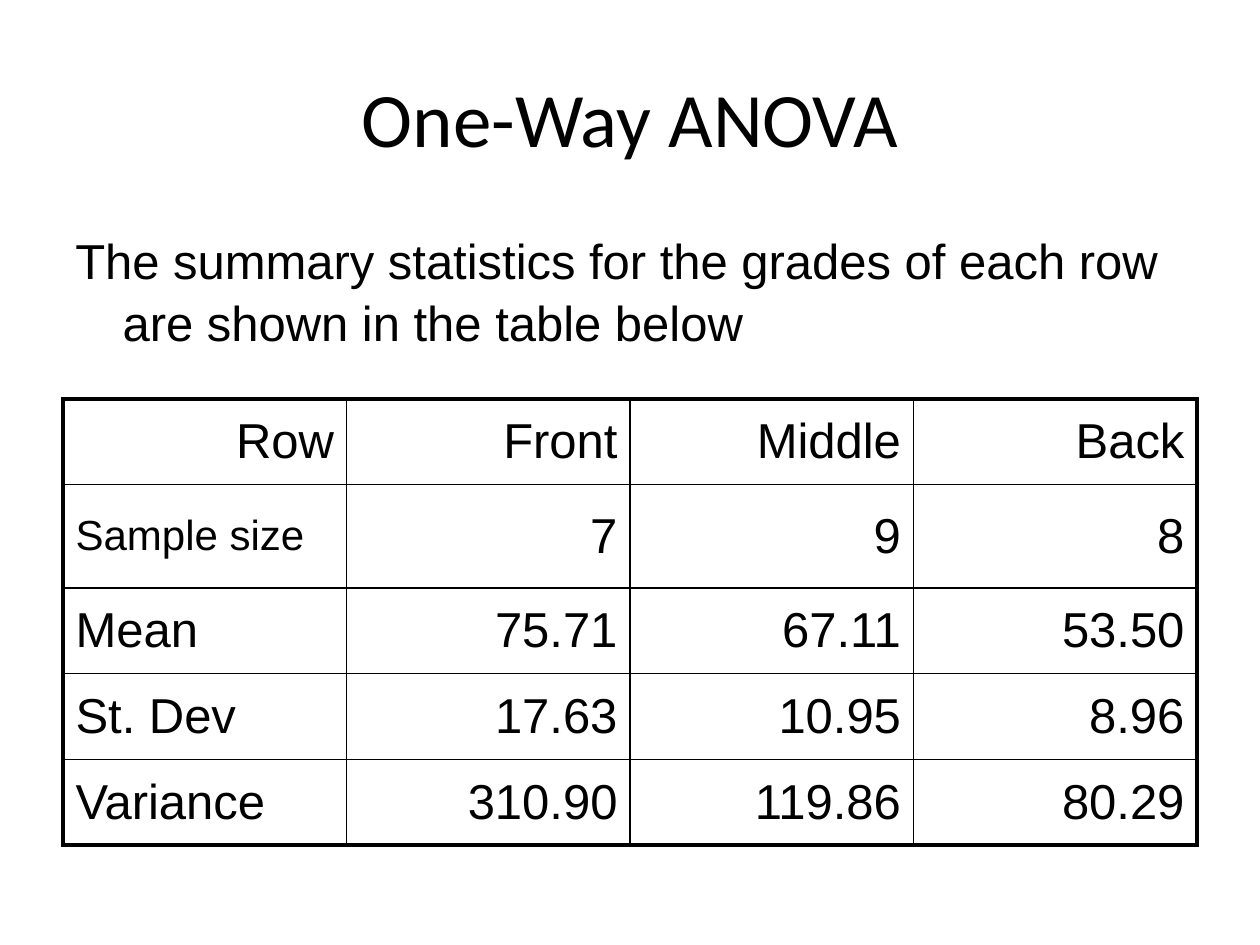
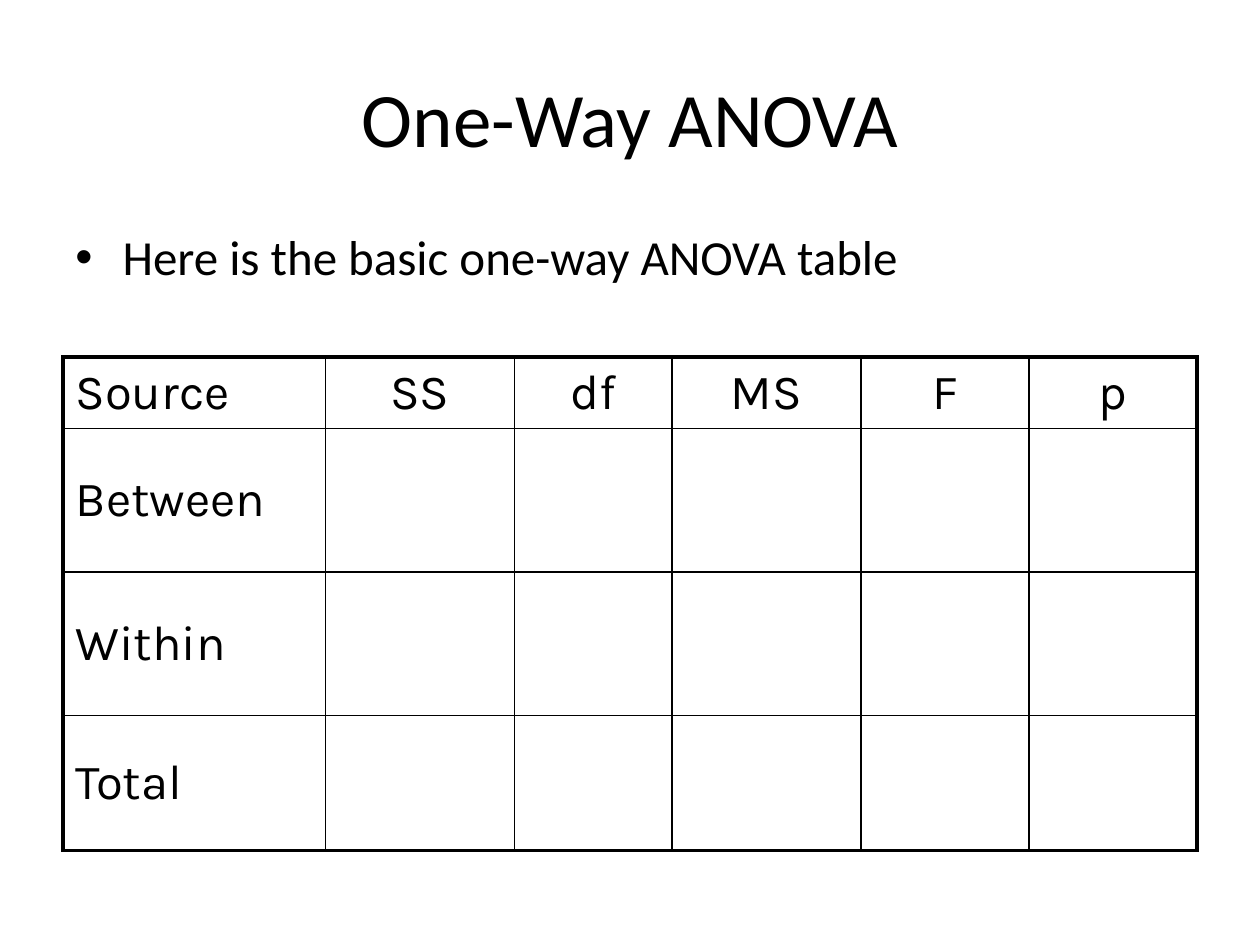
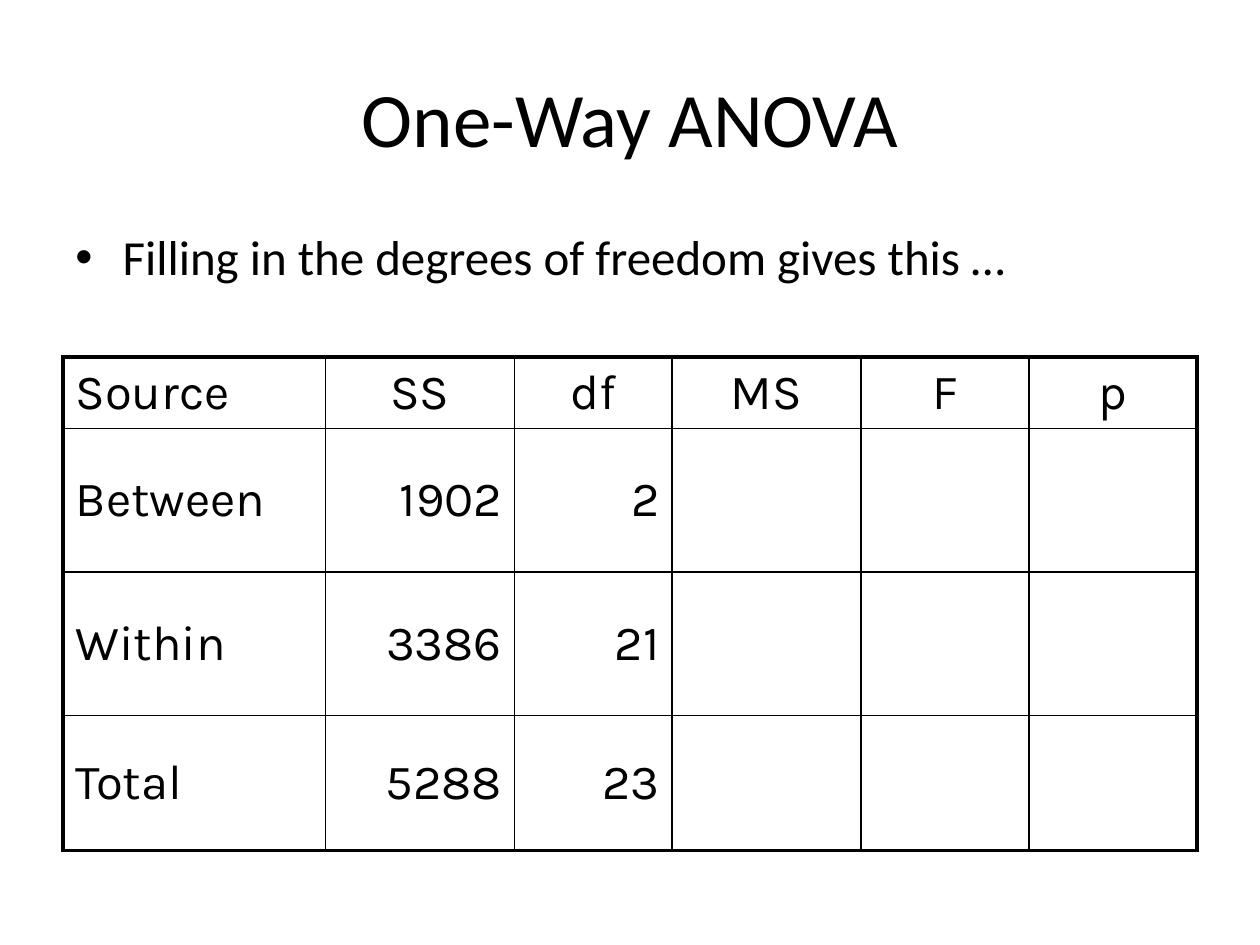
from dataclasses import dataclass

from lxml import etree
from pptx import Presentation
from pptx import util as u
from pptx.dml.color import RGBColor
from pptx.enum import text
from pptx.oxml.ns import qn

Pt = u.Pt
COLORS = {"ink": "000000", "paper": "FFFFFF"}
ALIGN = {"l": text.PP_ALIGN.LEFT, "c": text.PP_ALIGN.CENTER, "r": text.PP_ALIGN.RIGHT}
TITLE = "One-Way ANOVA"
LEFT, WIDTH = 36, 648
BODY_TOP, HANGING = 126, 27
THICK, THIN = 2.25, 1
BODY_SIZE, SMALL_SIZE = 28, 24


@dataclass
class Grid:
    top: float
    columns: list[float]
    heights: list[float]
    rows: list[list[str]]
    font: str
    header_align: str  # one letter per column


@dataclass
class Page:
    statement: str
    statement_height: float
    font: str
    bullet: bool
    line_spacing: float
    grid: Grid


# Content
def anova_grid(between: list[str], within: list[str], total: list[str]) -> Grid:
    """The ANOVA table, with the known values of each source from SS onwards."""
    header = ["Source", "SS", "df", "MS", "F", "p"]
    known = {"Between": between, "Within": within, "Total": total}
    rows = [[name, *values] + [""] * (len(header) - 1 - len(values))
            for name, values in known.items()]
    return Grid(204, [150, 108, 90, 108, 96, 96], [41, 82, 82, 77],
                [header, *rows], "Karla", "lccccc")


SUMMARY = Grid(228, [162] * 4, [49, 59, 49, 49, 49], [
    ["Row", "Front", "Middle", "Back"],
    ["Sample size", "7", "9", "8"],
    ["Mean", "75.71", "67.11", "53.50"],
    ["St. Dev", "17.63", "10.95", "8.96"],
    ["Variance", "310.90", "119.86", "80.29"],
], "Arial", "rrrr")

PAGES = [
    Page("The summary statistics for the grades of each row are shown in the table below",
         96, "Arial", False, 1.06, SUMMARY),
    Page("Here is the basic one-way ANOVA table",
         54, "Calibri", True, 1.0, anova_grid([], [], [])),
    Page("Filling in the degrees of freedom gives this …",
         54, "Calibri", True, 1.0,
         anova_grid(["1902", "2"], ["3386", "21"], ["5288", "23"])),
]


# Text
def add_span(para, words: str, size: float, font: str) -> None:
    span = para.add_run()
    span.text = words
    span.font.size = Pt(size)
    span.font.name = font
    span.font.color.rgb = RGBColor.from_string(COLORS["ink"])


def add_box(page, top: float, height: float, anchor):
    """Add a full-width wrapping text box and return its first paragraph."""
    box = page.shapes.add_textbox(Pt(LEFT), Pt(top), Pt(WIDTH), Pt(height))
    box.text_frame.word_wrap = True
    box.text_frame.vertical_anchor = anchor
    return box.text_frame.paragraphs[0]


def add_title(page) -> None:
    para = add_box(page, 21.6, 90, text.MSO_ANCHOR.MIDDLE)
    para.alignment = ALIGN["c"]
    add_span(para, TITLE, 44, "Calibri")


def add_statement(page, content: Page) -> None:
    para = add_box(page, BODY_TOP, content.statement_height, text.MSO_ANCHOR.TOP)
    properties = para._p.get_or_add_pPr()
    properties.set("marL", str(Pt(HANGING)))
    properties.set("indent", str(-Pt(HANGING)))
    if content.bullet:
        etree.SubElement(properties, qn("a:buFont"), typeface="Arial")
        etree.SubElement(properties, qn("a:buChar"), char="•")
    para.line_spacing = content.line_spacing
    add_span(para, content.statement, BODY_SIZE, content.font)


# Table
def set_borders(cell, widths: dict[str, float]) -> None:
    properties = cell._tc.get_or_add_tcPr()
    for side, width in widths.items():
        line = etree.SubElement(properties, qn(f"a:ln{side}"), w=str(Pt(width)))
        fill = etree.SubElement(line, qn("a:solidFill"))
        etree.SubElement(fill, qn("a:srgbClr"), val=COLORS["ink"])


def add_grid(page, grid: Grid) -> None:
    last_row, last_column = len(grid.rows) - 1, len(grid.columns) - 1
    frame = page.shapes.add_table(last_row + 1, last_column + 1, Pt(LEFT), Pt(grid.top),
                                  Pt(WIDTH), Pt(sum(grid.heights)))
    table = frame.table
    table.first_row = table.horz_banding = False
    for column, width in zip(table.columns, grid.columns):
        column.width = Pt(width)
    for row, height in zip(table.rows, grid.heights):
        row.height = Pt(height)

    for r, values in enumerate(grid.rows):
        for c, value in enumerate(values):
            cell = table.cell(r, c)
            edges = {"L": c == 0, "R": c == last_column, "T": r == 0, "B": r == last_row}
            set_borders(cell, {side: THICK if outer else THIN
                               for side, outer in edges.items()})
            cell.fill.background()
            cell.vertical_anchor = text.MSO_ANCHOR.MIDDLE
            if value:
                para = cell.text_frame.paragraphs[0]
                body_align = "l" if c == 0 else "r"
                para.alignment = ALIGN[grid.header_align[c] if r == 0 else body_align]
                size = SMALL_SIZE if value == "Sample size" else BODY_SIZE
                add_span(para, value, size, grid.font)


def main() -> None:
    deck = Presentation()
    deck.slide_width, deck.slide_height = Pt(720), Pt(540)
    background = deck.slide_master.background.fill
    background.solid()
    background.fore_color.rgb = RGBColor.from_string(COLORS["paper"])
    for content in PAGES:
        page = deck.slides.add_slide(deck.slide_layouts[6])
        add_title(page)
        add_statement(page, content)
        add_grid(page, content.grid)
    deck.save("out.pptx")


if __name__ == "__main__":
    main()
